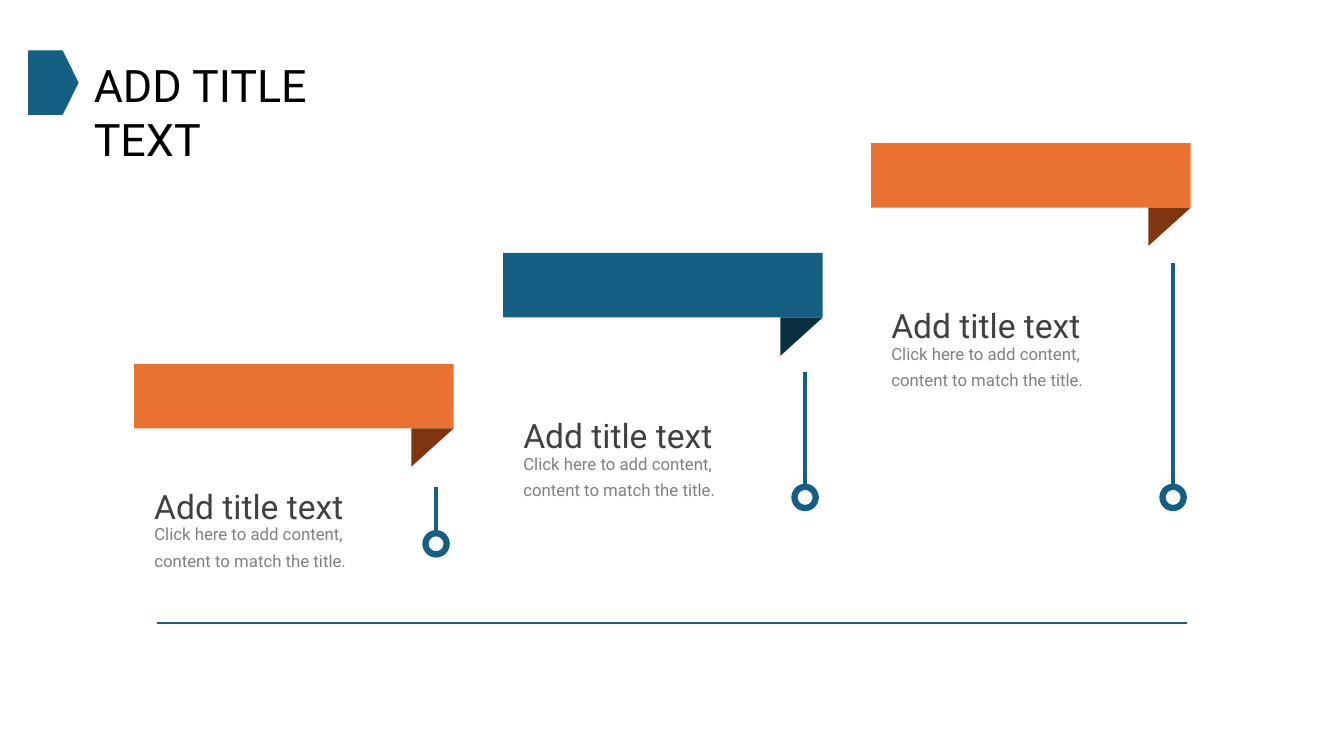
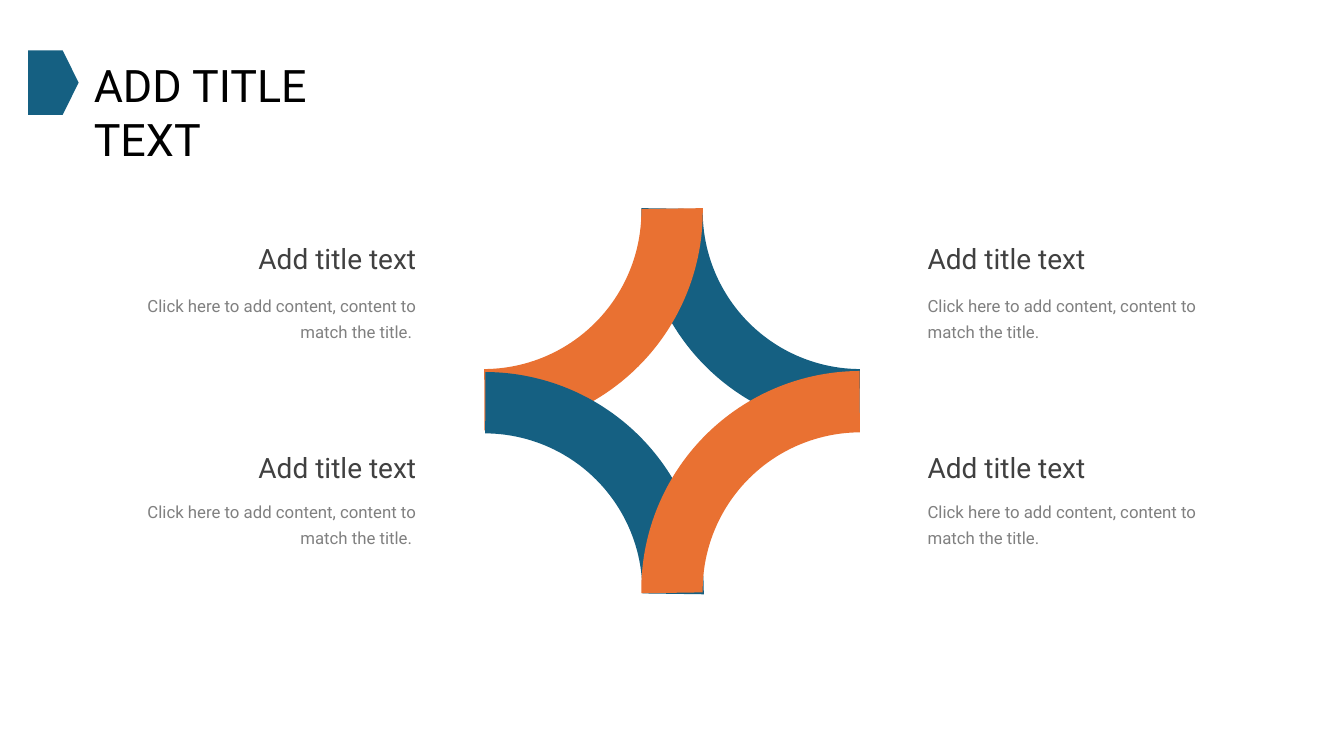
from dataclasses import dataclass

import pptx
import pptx.dml.color
import pptx.enum.shapes
import pptx.enum.text
import pptx.oxml.xmlchemy
import pptx.util

PX = 9144  # one px is a hundredth of an inch
FONT = "Roboto"
COLORS = {
    "blue": "156082",
    "dark blue": "0B3041",
    "orange": "E97132",
    "dark orange": "80350E",
    "title": "000000",
    "heading": "404040",
    "body": "808080",
}
HEADING = "Add title text"
BODY = "Click here to add content, content to match the title."
SHAPES = pptx.enum.shapes.MSO_SHAPE
LEFT = pptx.enum.text.PP_ALIGN.LEFT
RIGHT = pptx.enum.text.PP_ALIGN.RIGHT


@dataclass
class Step:
    left: int
    top: int
    heading_top: int
    stem_top: int
    ring_top: int
    color: str


@dataclass
class Arc:
    left: int
    top: int
    flip: str
    color: str


@dataclass
class Caption:
    left: int
    top: int
    body_top: int
    align: int


STEPS = [
    Step(133, 361, 482, 483, 529, "orange"),
    Step(499, 251, 412, 369, 483, "blue"),
    Step(864, 142, 303, 261, 483, "orange"),
]
ARCS = [
    Arc(636, -8, "", "blue"),
    Arc(262, -8, "H", "orange"),
    Arc(263, 369, "HV", "blue"),
    Arc(636, 368, "V", "orange"),
]
CAPTIONS = [
    Caption(left, top, body_top, align)
    for top, body_top in ((240, 287), (447, 492))
    for left, align in ((117, RIGHT), (920, LEFT))
]


def rgb(name: str) -> pptx.dml.color.RGBColor:
    return pptx.dml.color.RGBColor.from_string(COLORS[name])


def add_filled(slide, kind, left: int, top: int, width: int, height: int,
               color: str, adjustments: tuple = (), flip: str = ""):
    shape = slide.shapes.add_shape(kind, left * PX, top * PX, width * PX, height * PX)
    shape.shadow.inherit = False
    shape.fill.solid()
    shape.fill.fore_color.rgb = rgb(color)
    shape.line.fill.background()
    for index, value in enumerate(adjustments):
        shape.adjustments[index] = value
    for axis in flip:
        shape.element.spPr.xfrm.set("flip" + axis, "1")
    return shape


def add_line(slide, start: tuple, end: tuple, weight: float):
    line = slide.shapes.add_connector(
        pptx.enum.shapes.MSO_CONNECTOR.STRAIGHT,
        start[0] * PX, start[1] * PX, end[0] * PX, end[1] * PX)
    line.line.color.rgb = rgb("blue")
    line.line.width = pptx.util.Pt(weight)
    line.element.spPr.append(pptx.oxml.xmlchemy.OxmlElement("a:effectLst"))
    return line


def write(frame, text: str, size: int, color: str, align=LEFT, spacing: float = 1.0) -> None:
    frame.word_wrap = True
    frame.auto_size = pptx.enum.text.MSO_AUTO_SIZE.SHAPE_TO_FIT_TEXT
    frame.vertical_anchor = pptx.enum.text.MSO_ANCHOR.TOP
    paragraph = frame.paragraphs[0]
    paragraph.alignment = align
    paragraph.line_spacing = spacing
    run = paragraph.add_run()
    run.text = text
    run.font.name = FONT
    run.font.size = pptx.util.Pt(size)
    run.font.color.rgb = rgb(color)


def add_text(slide, left: int, top: int, width: int, height: int, text: str,
             size: int, color: str, align=LEFT, spacing: float = 1.0) -> None:
    frame = slide.shapes.add_textbox(left * PX, top * PX, width * PX, height * PX).text_frame
    frame.margin_left = frame.margin_top = frame.margin_right = frame.margin_bottom = 0
    write(frame, text, size, color, align, spacing)


def add_titled_slide(presentation):
    slide = presentation.slides.add_slide(presentation.slide_layouts[5])
    title = slide.shapes.title
    title.left, title.top = 83 * PX, 52 * PX
    title.width, title.height = 307 * PX, 64 * PX
    write(title.text_frame, "ADD TITLE TEXT", 32, "title")
    add_filled(slide, SHAPES.PENTAGON, 28, 50, 50, 64, "blue", (0.315,))
    return slide


def add_step(slide, step: Step) -> None:
    # Folded banner
    add_filled(slide, SHAPES.RECTANGLE, step.left, step.top, 317, 64, step.color)
    add_filled(slide, SHAPES.ISOSCELES_TRIANGLE, step.left + 275, step.top + 64, 42, 38,
               "dark " + step.color, (0,), "V")

    # Text
    text_left = step.left + 20
    add_text(slide, text_left, step.heading_top, 200, 40, HEADING, 24, "heading")
    add_text(slide, text_left, step.heading_top + 32, 235, 50, BODY, 12, "body", spacing=1.3)

    # Ring with its stem
    ring_left = step.left + 289
    ring = add_filled(slide, SHAPES.OVAL, ring_left, step.ring_top, 21, 21, "blue")
    ring.fill.background()
    ring.line.color.rgb = rgb("blue")
    ring.line.width = pptx.util.Pt(4.5)
    stem = add_line(slide, (ring_left, step.ring_top), (ring_left, step.stem_top), 3)
    stem.begin_connect(ring, 0)
    stem.end_x = stem.begin_x


def add_arc(slide, arc: Arc) -> None:
    shape = add_filled(slide, SHAPES.BLOCK_ARC, arc.left, arc.top, 435, 435, arc.color,
                       (162.157, 0.477, 0.14), arc.flip)
    shape.rotation = 180


def add_caption(slide, caption: Caption) -> None:
    body = BODY + " " if caption.align == RIGHT else BODY
    add_text(slide, caption.left, caption.top, 296, 34, HEADING, 20, "heading", caption.align)
    add_text(slide, caption.left, caption.body_top, 296, 50, body, 12, "body",
             caption.align, 1.3)


def main() -> None:
    presentation = pptx.Presentation()
    presentation.slide_width = 1333 * PX
    presentation.slide_height = 750 * PX

    # Rising steps
    slide = add_titled_slide(presentation)
    for step in STEPS:
        add_step(slide, step)
    add_line(slide, (156, 618), (1177, 618), 1)

    # Interlaced arcs
    slide = add_titled_slide(presentation)
    for arc in ARCS:
        add_arc(slide, arc)
    for caption in CAPTIONS:
        add_caption(slide, caption)

    presentation.save("out.pptx")


if __name__ == "__main__":
    main()
